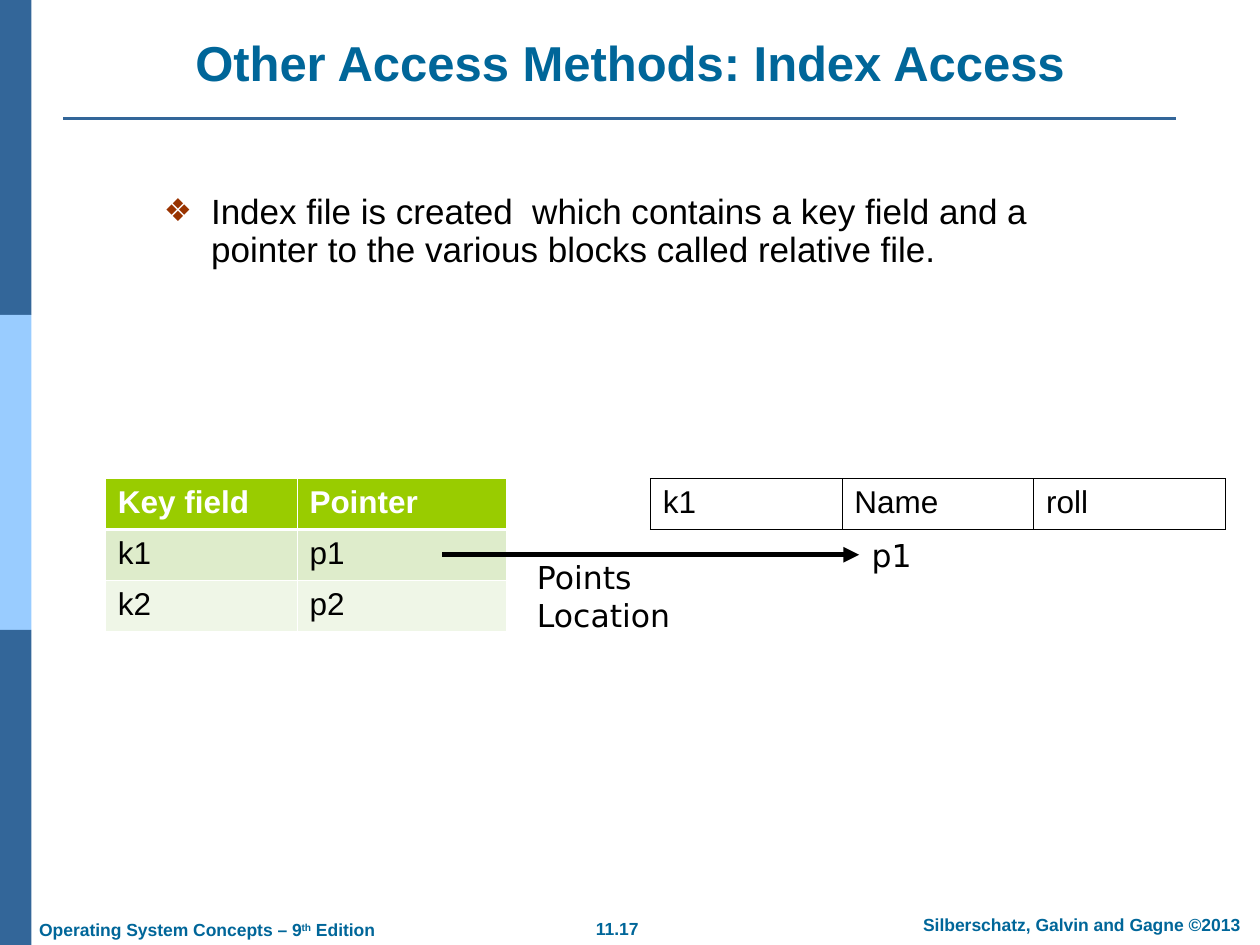
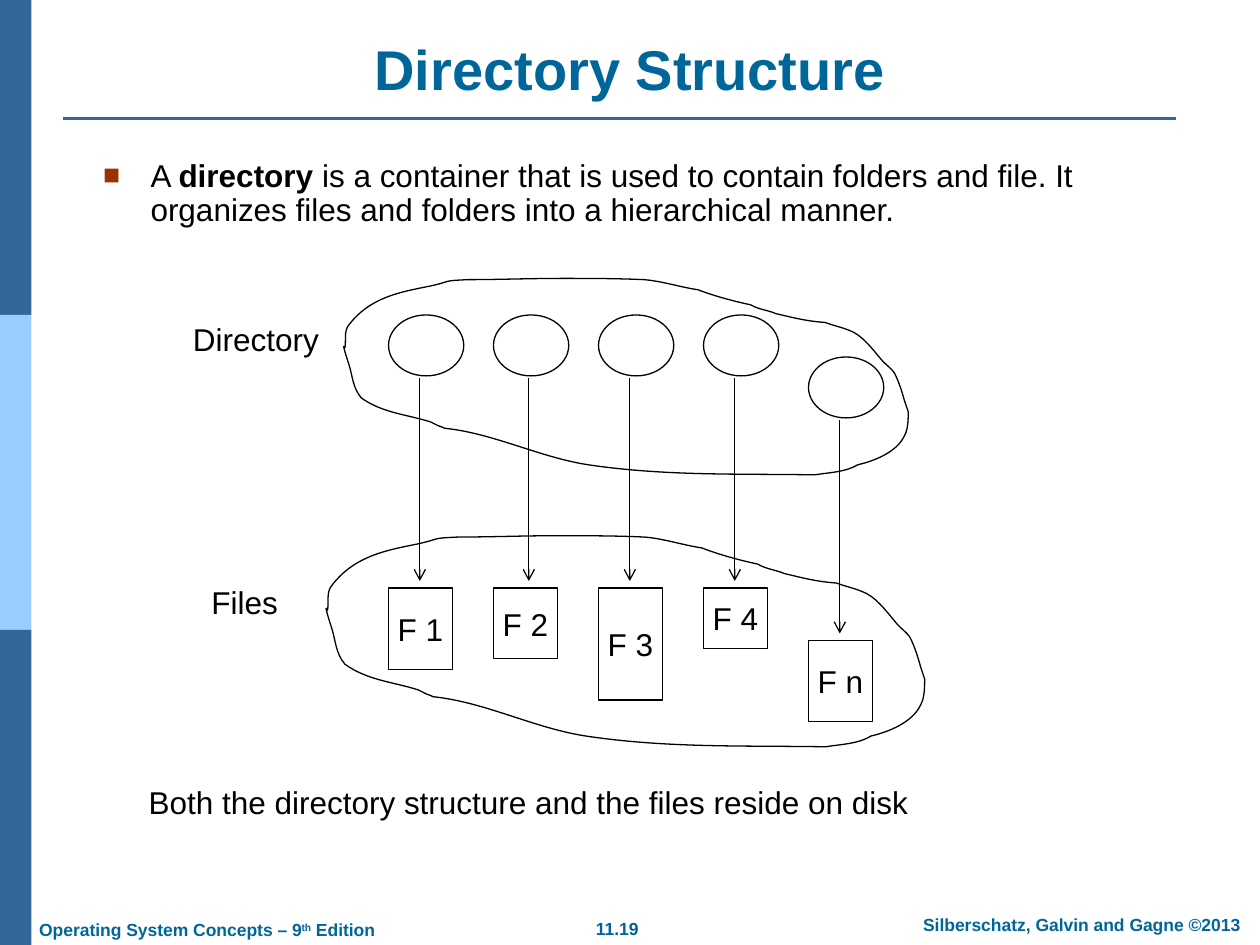
from lxml import etree
from pptx import Presentation
from pptx.dml.color import RGBColor
from pptx.enum import shapes as sh, text as tx
from pptx.oxml.ns import qn
from pptx.util import Pt

NAVY, SKY, TEAL, RUST = "336699", "99CCFF", "006699", "993300"
BLACK, WHITE = "000000", "FFFFFF"
LIME, MINT, PALE = "99CC00", "DEECCB", "EFF6E7"
LEFT, MID = tx.PP_ALIGN.LEFT, tx.PP_ALIGN.CENTER
TOP, CORE, LOW = tx.MSO_ANCHOR.TOP, tx.MSO_ANCHOR.MIDDLE, tx.MSO_ANCHOR.BOTTOM
RECT, OVAL = sh.MSO_SHAPE.RECTANGLE, sh.MSO_SHAPE.OVAL
FOOT = dict(size=10, color=TEAL, bold=True)

START = (2, 55)
CURVES = [
    (3, 49, 1, 42, 5, 37), (22, 15, 45, 11, 70, 6), (88, 2, 78, 2, 100, 1),
    (124, 1, 149, 0, 174, 0), (195, 0, 217, 0, 239, 1), (253, 2, 268, 7, 282, 9),
    (295, 14, 310, 18, 324, 21), (331, 25, 337, 25, 344, 28),
    (357, 31, 368, 34, 383, 35), (391, 38, 398, 39, 406, 43),
    (415, 48, 422, 58, 429, 66), (432, 69, 436, 72, 438, 75),
    (442, 83, 444, 90, 446, 97), (447, 100, 449, 106, 449, 106),
    (449, 111, 449, 120, 446, 125), (440, 138, 422, 145, 409, 148),
    (399, 154, 387, 154, 375, 156), (312, 155, 256, 157, 195, 148),
    (156, 142, 120, 123, 81, 119), (80, 118, 78, 118, 76, 117),
    (74, 116, 72, 115, 70, 114), (51, 108, 32, 107, 15, 95),
    (8, 87, 8, 77, 5, 68), (5, 68, 1, 56, 1, 54), (0, 53, 2, 55, 2, 55),
]


def tint(code):
    return RGBColor.from_string(code)


def pts(*nums):
    return [Pt(n) for n in nums]


def place(shape, box):
    shape.left, shape.top, shape.width, shape.height = pts(*box)


def write(frame, text, size=18, color=BLACK, font="Arial", bold=False,
          align=LEFT, anchor=TOP, wrap=True):
    frame.word_wrap = wrap
    frame.vertical_anchor = anchor
    para = frame.paragraphs[0]
    para.alignment = align
    para.space_before = Pt(0)
    for part, extra in ([(text, {})] if isinstance(text, str) else text):
        run = para.add_run()
        run.text = part
        run.font.size, run.font.name = Pt(size), font
        run.font.bold = extra.get("bold", bold)
        run.font.color.rgb = tint(color)
        if "raise" in extra:
            run._r.get_or_add_rPr().set("baseline", extra["raise"])
    return para


def label(slide, box, text, **look):
    note = slide.shapes.add_textbox(*pts(*box))
    write(note.text_frame, text, **look)
    return note


def style(shape, fill=None, edge=None):
    shape.shadow.inherit = False
    if fill:
        shape.fill.solid()
        shape.fill.fore_color.rgb = tint(fill)
    else:
        shape.fill.background()
    if edge:
        shape.line.color.rgb = tint(edge)
        shape.line.width = Pt(0.75)
    else:
        shape.line.fill.background()


def block(slide, kind, box, fill, edge=None):
    shape = slide.shapes.add_shape(kind, *pts(*box))
    style(shape, fill, edge)
    return shape


def link(slide, ends, color, width, head=None):
    line = slide.shapes.add_connector(sh.MSO_CONNECTOR.STRAIGHT, *pts(*ends))
    line.line.color.rgb = tint(color)
    line.line.width = Pt(width)
    if head:
        etree.SubElement(line.line._get_or_add_ln(), qn("a:tailEnd"), type=head)
    etree.SubElement(line._element.spPr, qn("a:effectLst"))
    return line


def title(slide, box, text, size):
    head = slide.shapes.title
    place(head, box)
    head.text_frame.auto_size = tx.MSO_AUTO_SIZE.NONE
    write(head.text_frame, text, size=size, color=TEAL, bold=True,
          align=MID, anchor=LOW)


def point(slide, box, text, size, mark):
    body = slide.placeholders[1]
    place(body, box)
    body.text_frame.auto_size = tx.MSO_AUTO_SIZE.NONE
    para = write(body.text_frame, text, size=size)
    para.line_spacing = 0.9
    props = para._p.get_or_add_pPr()
    props.set("marL", str(Pt(27)))
    props.set("indent", str(Pt(-27)))
    hue = etree.SubElement(props, qn("a:buClr"))
    etree.SubElement(hue, qn("a:srgbClr"), val=RUST)
    etree.SubElement(props, qn("a:buSzPct"), val="90000")
    etree.SubElement(props, qn("a:buChar"), char=mark)


def dress(slide):
    parts = [block(slide, RECT, (0, 180 * row, 18, 180), fill)
             for row, fill in enumerate((NAVY, SKY, NAVY))]
    parts.append(link(slide, (36, 67.7, 672, 67.7), NAVY, 1.5))
    parts.append(label(slide, (511.2, 518.8, 213.8, 19.4),
                       "Silberschatz, Galvin and Gagne ©2013", align=MID, **FOOT))
    parts.append(label(slide, (15.3, 521.7, 216, 19.4),
                       [("Operating System Concepts – 9", {}),
                        ("th", {"raise": "30000"}), (" Edition", {})], **FOOT))
    tree = slide.slide_layout.shapes._spTree
    for spot, part in enumerate(parts):
        item = part._element
        item.xpath(".//p:cNvPr")[0].set("id", str(50 + spot))
        tree.append(item)


def base(deck, number):
    slide = deck.slides.add_slide(deck.slide_layouts[1])
    label(slide, (314.6, 521, 76.3, 19.4), number, align=MID, **FOOT)
    return slide


def rule(cell, color, widths):
    props = cell._tc.get_or_add_tcPr()
    for spot, (side, width) in enumerate(zip("LRTB", widths)):
        line = etree.Element(qn("a:ln" + side), w=str(Pt(width)))
        fill = etree.SubElement(line, qn("a:solidFill"))
        etree.SubElement(fill, qn("a:srgbClr"), val=color)
        props.insert(spot, line)


def grid(slide, spot, widths, rows, fills, edge, head=False):
    high = 29
    box = (*spot, sum(widths), high * len(rows))
    table = slide.shapes.add_table(len(rows), len(widths), *pts(*box)).table
    table.first_row, table.horz_banding = head, False
    for col, width in zip(table.columns, widths):
        col.width = Pt(width)
    for r, (row, fill) in enumerate(zip(rows, fills)):
        table.rows[r].height = Pt(high)
        first = head and r == 0
        for c, text in enumerate(row):
            cell = table.cell(r, c)
            if fill:
                cell.fill.solid()
                cell.fill.fore_color.rgb = tint(fill)
            else:
                cell.fill.background()
            write(cell.text_frame, text, bold=first,
                  color=WHITE if first else BLACK)
            rule(cell, edge, (0.45, 0.45, 1.47 if head and r == 1 else 0.45,
                              1.47 if first else 0.45))


def lookup(slide, left, top):
    grid(slide, (left, top), (109.5, 119.5),
         [("Key field", "Pointer"), ("k1", "p1"), ("k2", "p2")],
         (LIME, MINT, PALE), WHITE, head=True)
    grid(slide, (left + 311.4, top), (109.5,) * 3,
         [("k1", "Name", "roll")], (None,), BLACK)
    goal = label(slide, (left + 430.8, top + 29, 75, 28.8), "p1",
                 font="DejaVu Sans")
    mid = top + 43.4
    arrow = link(slide, (left + 192.4, mid, left + 430.8, mid), BLACK, 3,
                 "triangle")
    arrow.end_connect(goal, 1)
    label(slide, (left + 239.6, top + 41.7, 144, 28.8), "Points Location",
          font="DejaVu Sans")


def blob(slide, left, top, width, height):
    def spot(x, y):
        return Pt(left + x * width / 449), Pt(top + y * height / 157)

    pen = slide.shapes.build_freeform(*spot(*START))
    pen.add_line_segments([spot(*curve[i:i + 2]) for curve in CURVES
                           for i in (0, 2, 4)], close=True)
    shape = pen.convert_to_shape()
    style(shape, edge=BLACK)
    steps = shape._element.xpath(".//a:lnTo")
    for i in range(0, len(steps), 3):
        bend = etree.Element(qn("a:cubicBezTo"))
        steps[i].addprevious(bend)
        for step in steps[i:i + 3]:
            bend.append(step[0])
            step.getparent().remove(step)


def tree(slide, left, top):
    files = [("F 1", 46.5), ("F 2", 40.5), ("F 3", 64), ("F 4", 34.7), ("F n", 46.5)]
    for i, (name, high) in enumerate(files):
        x = left + 120 + 60 * i
        last = name == "F n"
        drop, sink = (24, 30) if last else (0, 0)
        block(slide, OVAL, (x, top + 24 + drop, 43, 34.8), WHITE, BLACK)
        leaf = block(slide, RECT, (x, top + 180 + sink, 36.5, high), WHITE, BLACK)
        write(leaf.text_frame, name, align=MID, anchor=CORE, wrap=False)
        stem = x + (20.2 if i == 1 else 17.9)
        link(slide, (stem, top + 60 + drop, stem, top + 176 + sink),
             BLACK, 0.75, "arrow")
    blob(slide, left + 93.7, top + 3.1, 323.3, 113)
    blob(slide, left + 83.7, top + 150.1, 342.7, 121.4)
    for text, x, y, wide in (("Directory", -0.2, 23.4, 88.8), ("Files", 11, 173.7, 53.6)):
        label(slide, (left + x, top + y, wide, 29), text, align=MID, anchor=CORE)


def main():
    deck = Presentation()
    deck.slide_width, deck.slide_height = pts(720, 540)

    index = base(deck, "11.17")
    dress(index)
    title(index, (36, 10.5, 648, 45.4), "Other Access Methods: Index Access", 28)
    point(index, (86.4, 107.3, 533.5, 114.5),
          "Index file is created  which contains a key field and a pointer "
          "to the various blocks called relative file.", 20, "❖")
    lookup(index, 60.2, 273.6)

    folder = base(deck, "11.19")
    title(folder, (36, 16.6, 648, 45.4), "Directory Structure", 32)
    point(folder, (51.8, 87.8, 580.3, 59.8),
          [("A ", {}), ("directory", {"bold": True}),
           (" is a container that is used to contain folders and file. It "
            "organizes files and folders into a hierarchical manner.", {})],
          18, "■")
    tree(folder, 102, 156)
    label(folder, (77.8, 443.9, 598.3, 30.2),
          "Both the directory structure and the files reside on disk")

    deck.save("out.pptx")


if __name__ == "__main__":
    main()
